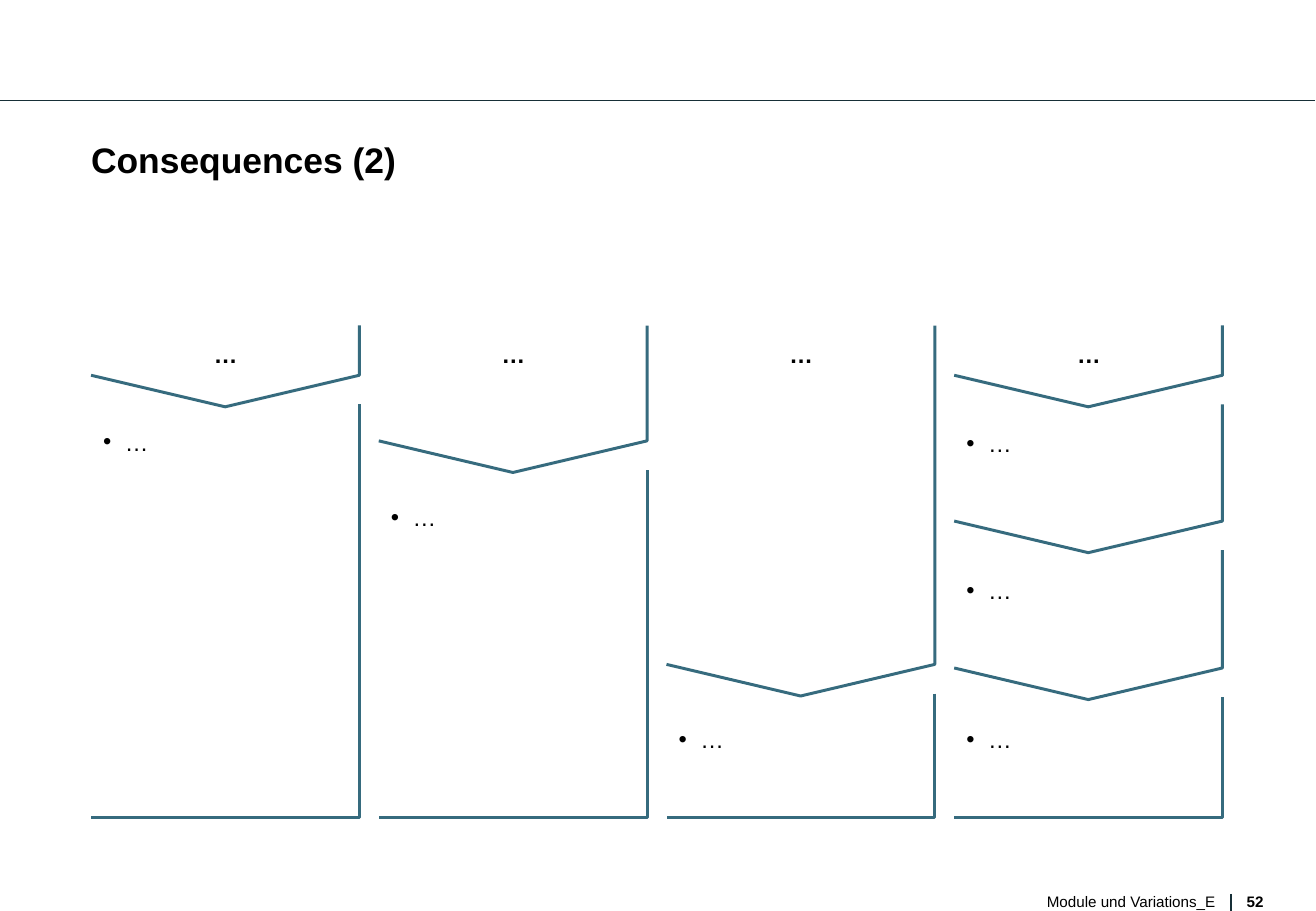
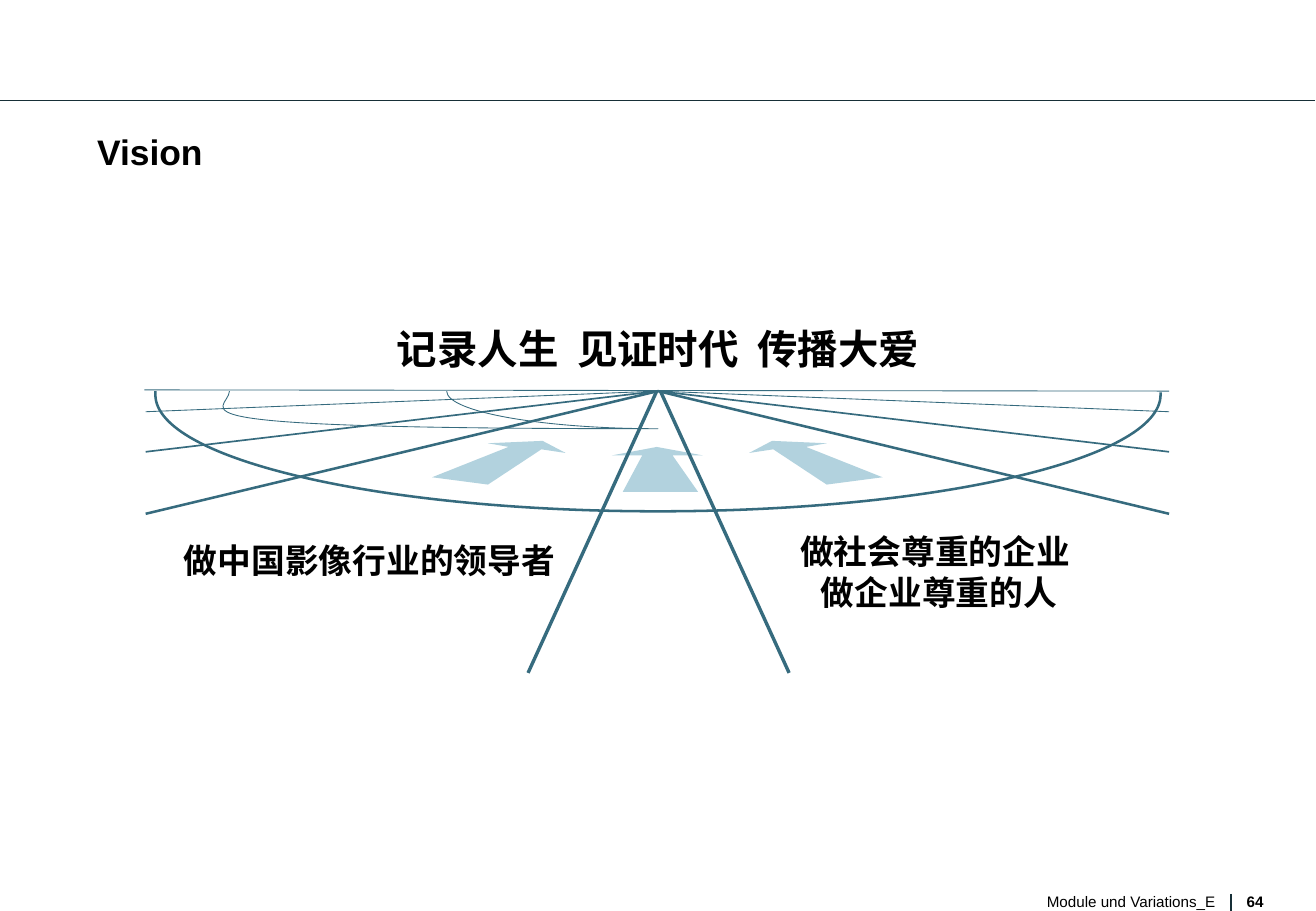
from dataclasses import dataclass
from typing import Optional

from lxml.etree import SubElement
from pptx import Presentation
from pptx.dml.color import RGBColor
from pptx.enum.shapes import MSO_CONNECTOR
from pptx.enum.text import MSO_ANCHOR, MSO_AUTO_SIZE, PP_ALIGN
from pptx.oxml.ns import qn
from pptx.shapes.autoshape import Shape
from pptx.slide import Slide
from pptx.text.text import TextFrame
from pptx.util import Inches, Pt

BLACK = RGBColor(0x00, 0x00, 0x00)
RULE = RGBColor(0x17, 0x2F, 0x37)
TEAL = RGBColor(0x36, 0x6B, 0x7E)
PALE = RGBColor(0xB2, 0xD2, 0xDE)
FONT = "Arial"
FOOTER = "Module und Variations_E"

Point = tuple[float, float]
Box = tuple[float, float, float, float]

# Column grid of the consequences slide
LEFT, PITCH, COL_W = 0.75, 2.37, 2.21
COL_TOP, COL_BOTTOM = 2.68, 6.73
TIP_DROP, NEXT_DROP = 0.26, 0.24

# Axis of the vision slide
SPAN = 10.83
APEX = (5.42, 3.22)


@dataclass(frozen=True)
class Step:
    """A chevron whose sides end at side_y, and the bullet below it."""
    side_y: float
    bullet_y: float


@dataclass(frozen=True)
class Ray:
    start: Point
    end: Point
    width: float


@dataclass(frozen=True)
class Curve:
    """A start point, then two handles and an end point for each piece."""
    box: Box
    points: tuple[Point, ...]
    width: float


@dataclass(frozen=True)
class Label:
    text: str
    box: Box
    size: int


COLUMNS = (
    (Step(3.09, 3.52),),
    (Step(3.63, 4.14),),
    (Step(5.47, 5.97),),
    (Step(3.09, 3.53), Step(4.29, 4.74), Step(5.5, 5.97)),
)
ROADS = (Ray((4.35, 5.54), (5.41, 3.22), 2), Ray((5.44, 3.22), (6.5, 5.54), 2))
LEFT_RAYS = tuple(Ray((1.2, y), APEX, width)
                  for y, width in ((4.23, 1.5), (3.72, 1), (3.39, 0.5)))
LABELS = (
    Label("记录人生  见证时代  传播大爱", (3.16, 2.67, 4.52, 0.4), 24),
    Label("做中国影像行业的领导者", (1.51, 4.44, 3.07, 0.33), 20),
    Label("做社会尊重的企业 \n做企业尊重的人", (6.2, 4.37, 3.07, 0.67), 20),
)
CURVES = (
    Curve((1.28, 3.22, 8.28, 1),
          ((9.56, 3.23), (9.56, 3.23), (9.56, 3.24), (9.56, 3.25),
           (9.56, 3.78), (7.71, 4.21), (5.42, 4.21),
           (3.13, 4.21), (1.28, 3.78), (1.28, 3.25),
           (1.28, 3.24), (1.28, 3.23), (1.28, 3.22)), 1.5),
    Curve((3.68, 3.22, 3.47, 0.31),
          ((1.89, 3.22), (1.89, 3.39), (1.12, 3.53), (5.42, 3.53),
           (4.46, 3.53), (3.68, 3.39), (3.68, 3.22)), 0.5),
)
MIDDLE_ARROW = ((5.13, 4.05), (5.75, 4.05), (5.54, 3.75), (5.79, 3.75),
                (5.41, 3.68), (5.04, 3.75), (5.29, 3.75))
LEFT_ARROW = ((4.02, 3.99), (3.56, 3.93), (4.19, 3.68), (4.02, 3.65),
              (4.47, 3.63), (4.66, 3.73), (4.46, 3.7))


def mirror(point: Point) -> Point:
    return SPAN - point[0], point[1]


def write(tf: TextFrame, text: str, *, size: float, bold: bool = False,
          align: PP_ALIGN = PP_ALIGN.LEFT, anchor: MSO_ANCHOR = MSO_ANCHOR.TOP,
          spacing=None, bullet: bool = False) -> None:
    """Fill a text frame, one paragraph for each line of text."""
    tf.margin_left = tf.margin_right = tf.margin_top = tf.margin_bottom = 0
    tf.word_wrap = True
    tf.auto_size = MSO_AUTO_SIZE.NONE
    tf.vertical_anchor = anchor
    tf.text = text
    for p in tf.paragraphs:
        if bullet:
            pPr = p._p.get_or_add_pPr()
            pPr.set("marL", str(Inches(0.18)))
            pPr.set("indent", str(-Inches(0.18)))
            SubElement(pPr, qn("a:buFont")).set("typeface", FONT)
            SubElement(pPr, qn("a:buChar")).set("char", "•")
        p.alignment = align
        if spacing is not None:
            p.line_spacing = spacing
        for r in p.runs:
            r.font.name = FONT
            r.font.size = Pt(size)
            r.font.bold = bold
            r.font.color.rgb = BLACK


def add_text(s: Slide, text: str, box: Box, **fmt) -> None:
    sp = s.shapes.add_textbox(*map(Inches, box))
    write(sp.text_frame, text, **fmt)


def add_line(s: Slide, start: Point, end: Point, color: RGBColor, width: float) -> None:
    cxn = s.shapes.add_connector(MSO_CONNECTOR.STRAIGHT, *map(Inches, start + end))
    cxn.line.color.rgb = color
    cxn.line.width = Pt(width)
    SubElement(cxn._element.spPr, qn("a:effectLst"))


def add_outline(s: Slide, points: tuple[Point, ...], *, fill: Optional[RGBColor] = None,
                width: float = 1.75) -> Shape:
    """Draw a closed filled shape, or an open teal line if there is no fill."""
    first, *rest = [(Inches(x), Inches(y)) for x, y in points]
    builder = s.shapes.build_freeform(*first)
    builder.add_line_segments(rest, close=fill is not None)
    sp = builder.convert_to_shape()
    sp.shadow.inherit = False
    if fill is not None:
        sp.fill.solid()
        sp.fill.fore_color.rgb = fill
        sp.line.fill.background()
    else:
        sp.fill.background()
        sp.line.color.rgb = TEAL
        sp.line.width = Pt(width)
    return sp


def add_curve(s: Slide, curve: Curve) -> None:
    """Draw an open chain of cubic Bézier pieces."""
    left, top, width, height = curve.box
    sp = add_outline(s, ((left, top), (left + width, top + height)), width=curve.width)
    outline = next(sp._element.iter(qn("a:path")))
    for segment in list(outline):
        outline.remove(segment)
    segment = SubElement(outline, qn("a:moveTo"))
    for i, (x, y) in enumerate(curve.points):
        if i % 3 == 1:
            segment = SubElement(outline, qn("a:cubicBezTo"))
        pt = SubElement(segment, qn("a:pt"))
        pt.set("x", str(Inches(x - left)))
        pt.set("y", str(Inches(y - top)))


def new_slide(prs, title: str, box: Box, page: int) -> Slide:
    """Add a slide with its title, header rule and footer."""
    s = prs.slides.add_slide(prs.slide_layouts[5])
    sp = s.shapes.title
    sp.left, sp.top, sp.width, sp.height = map(Inches, box)
    write(sp.text_frame, title, size=21, bold=True, spacing=0.93)
    add_line(s, (0, 0.83), (10.83, 0.83), RULE, 0.75)
    add_line(s, (10.14, 7.36), (10.14, 7.5), RULE, 0.75)
    add_text(s, str(page), (10.27, 7.35, 0.17, 0.14), size=9, bold=True)
    add_text(s, FOOTER, (6.22, 7.34, 3.79, 0.15), size=9,
             align=PP_ALIGN.RIGHT, spacing=Pt(11))
    return s


def add_column(s: Slide, left: float, steps: tuple[Step, ...]) -> None:
    right, top = left + COL_W, COL_TOP
    add_text(s, "…", (left + 0.05, 2.8, 2.12, 0.23), size=14, bold=True,
             align=PP_ALIGN.CENTER, anchor=MSO_ANCHOR.MIDDLE)
    for step in steps:
        add_outline(s, ((right, top), (right, step.side_y),
                        (left + COL_W / 2, step.side_y + TIP_DROP), (left, step.side_y)))
        add_text(s, "…", (left + 0.1, step.bullet_y, 2.06, 0.23), size=14, bullet=True)
        top = step.side_y + NEXT_DROP
    add_outline(s, ((right, top), (right, COL_BOTTOM), (left, COL_BOTTOM)))


def build_consequences(prs) -> None:
    s = new_slide(prs, "Consequences (2)", (0.75, 1.17, 9.33, 0.28), 52)
    for i, steps in enumerate(COLUMNS):
        add_column(s, LEFT + i * PITCH, steps)


def build_vision(prs) -> None:
    s = new_slide(prs, "Vision", (0.8, 1.1, 9.36, 0.72), 64)
    for curve in CURVES:
        add_curve(s, curve)
    right_arrow = tuple(map(mirror, LEFT_ARROW))
    for arrow in (MIDDLE_ARROW, right_arrow, LEFT_ARROW):
        add_outline(s, arrow, fill=PALE)
    add_line(s, (1.19, 3.21), (9.63, 3.22), TEAL, 0.5)
    right_rays = tuple(Ray(APEX, mirror(ray.start), ray.width) for ray in LEFT_RAYS)
    for ray in ROADS + LEFT_RAYS + right_rays:
        add_line(s, ray.start, ray.end, TEAL, ray.width)
    for label in LABELS:
        add_text(s, label.text, label.box, size=label.size, bold=True,
                 align=PP_ALIGN.CENTER)


def main() -> None:
    prs = Presentation()
    prs.slide_width, prs.slide_height = Inches(10.84), Inches(7.5)
    build_consequences(prs)
    build_vision(prs)
    prs.save("out.pptx")


if __name__ == "__main__":
    main()
